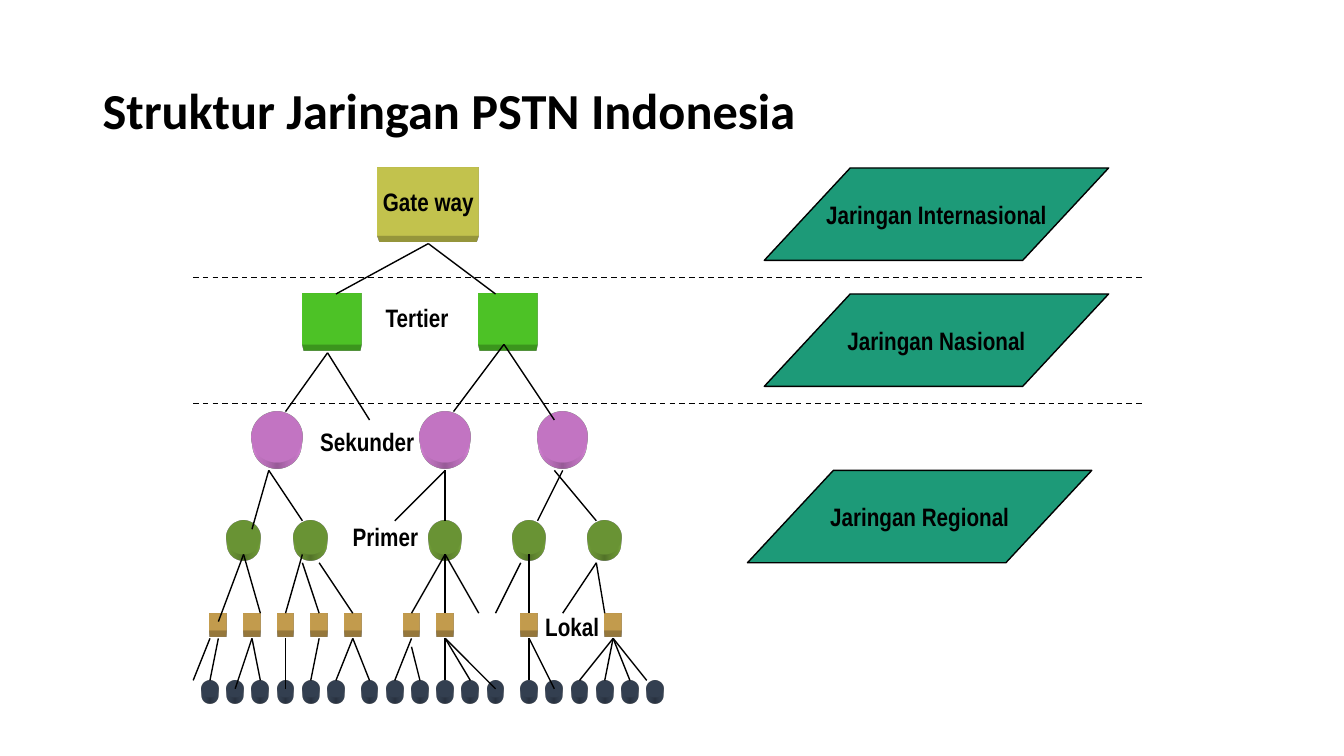
from dataclasses import dataclass

from lxml.etree import SubElement
from pptx import Presentation
from pptx.dml.color import RGBColor
from pptx.enum.dml import MSO_LINE
from pptx.enum.shapes import MSO_CONNECTOR, MSO_SHAPE
from pptx.enum.text import MSO_ANCHOR, MSO_AUTO_SIZE, PP_ALIGN
from pptx.oxml.ns import qn
from pptx.util import Cm, Pt

BLACK = "000000"
GREEN = "1D9A78"
LABEL_FONT = "Arial Narrow"


@dataclass
class Level:
    kind: MSO_SHAPE
    color: str
    top: int
    width: int
    height: int
    lefts: list[int]
    text: str = ""


@dataclass
class Branch:
    start: tuple[int, int]
    ends: list[tuple[int, int]]


@dataclass
class Network:
    text: str
    left: int
    top: int


@dataclass
class Label:
    text: str
    left: float
    top: float
    width: float


LEVELS = [
    Level(MSO_SHAPE.RECTANGLE, "FFFF66", 20, 12, 8, [45], "Gate way"),
    Level(MSO_SHAPE.RECTANGLE, "66FF33", 35, 7, 6, [36, 57]),
    Level(MSO_SHAPE.OVAL, "FF99FF", 49, 6, 6, [30, 50, 64]),
    Level(MSO_SHAPE.OVAL, "8BC145", 62, 4, 4, [27, 35, 51, 61, 70]),
    Level(MSO_SHAPE.RECTANGLE, "FFCC66", 73, 2, 2, [25, 29, 33, 37, 41, 48, 52, 62, 72]),
    Level(MSO_SHAPE.OVAL, "44546A", 81, 2, 2,
          [*range(24, 40, 3), *range(43, 59, 3), *range(62, 78, 3)]),
]

BRANCHES = [
    Branch((51, 29), [(59, 35), (40, 35)]),
    Branch((60, 41), [(54, 49), (66, 50)]),
    Branch((39, 42), [(34, 49), (44, 50)]),
    Branch((32, 56), [(30, 63), (36, 62)]),
    Branch((53, 56), [(53, 62), (47, 62)]),
    Branch((67, 56), [(64, 62)]),
    Branch((66, 56), [(71, 62)]),
    Branch((29, 66), [(26, 74), (31, 73)]),
    Branch((36, 66), [(34, 73)]),
    Branch((36, 67), [(38, 73)]),
    Branch((38, 67), [(42, 73)]),
    Branch((53, 66), [(49, 73), (53, 73), (57, 73)]),
    Branch((63, 66), [(63, 73)]),
    Branch((71, 67), [(72, 73), (67, 73)]),
    Branch((62, 67), [(59, 73)]),
    Branch((26, 76), [(25, 81)]),
    Branch((30, 76), [(28, 82), (31, 81)]),
    Branch((34, 76), [(34, 82)]),
    Branch((38, 76), [(37, 81)]),
    Branch((42, 76), [(40, 81), (44, 81)]),
    Branch((49, 76), [(47, 81)]),
    Branch((49, 77), [(50, 81)]),
    Branch((53, 76), [(59, 82), (53, 81), (56, 81)]),
    Branch((63, 76), [(63, 81), (66, 82)]),
    Branch((73, 76), [(69, 81), (72, 81), (75, 81), (77, 81)]),
    Branch((25, 76), [(23, 81)]),
]

NETWORKS = [
    Network("Jaringan Internasional", 91, 20),
    Network("Jaringan Nasional", 91, 35),
    Network("Jaringan Regional", 89, 56),
]

LABELS = [
    Label("Tertier", 9.47, 7.49, 2.13),
    Label("Sekunder", 7.82, 10.62, 2.9),
    Label("Primer", 8.64, 13, 2.16),
    Label("Lokal", 13.49, 15.29, 1.88),
]


def grid(steps: int) -> Cm:
    return Cm(steps * 2.54 / 12)


def rgb(color: str) -> RGBColor:
    return RGBColor.from_string(color)


def write(text_frame, text: str, font: str = LABEL_FONT, size: int = 18) -> None:
    text_frame.text = text
    run_font = text_frame.paragraphs[0].runs[0].font
    run_font.name = font
    run_font.size = Pt(size)
    run_font.bold = True
    run_font.color.rgb = rgb(BLACK)


def extrude(shape, color: str) -> None:
    properties = shape._element.spPr
    scene = SubElement(properties, qn("a:scene3d"))
    SubElement(scene, qn("a:camera"), prst="legacyPerspectiveBottom")
    SubElement(scene, qn("a:lightRig"), rig="legacyFlat3", dir="t")
    solid = SubElement(properties, qn("a:sp3d"), extrusionH="430200", prstMaterial="legacyMatte")
    extrusion = SubElement(solid, qn("a:extrusionClr"))
    SubElement(extrusion, qn("a:srgbClr"), val=color)


def add_block(slide, kind: MSO_SHAPE, color: str, left: int, top: int,
              width: int, height: int, text: str = ""):
    shape = slide.shapes.add_shape(kind, grid(left), grid(top), grid(width), grid(height))
    shape.shadow.inherit = False
    shape.fill.solid()
    shape.fill.fore_color.rgb = rgb(color)
    shape.line.fill.background()
    if text:
        write(shape.text_frame, text)
        shape.text_frame.word_wrap = False
        shape.text_frame.vertical_anchor = MSO_ANCHOR.MIDDLE
        shape.text_frame.paragraphs[0].alignment = PP_ALIGN.CENTER
    return shape


def add_line(slide, start: tuple[int, int], end: tuple[int, int], dashed: bool = False) -> None:
    line = slide.shapes.add_connector(MSO_CONNECTOR.STRAIGHT, *map(grid, start + end))
    line.line.color.rgb = rgb(BLACK)
    line.line.width = Pt(1)
    if dashed:
        line.line.dash_style = MSO_LINE.DASH
    SubElement(line._element.spPr, qn("a:effectLst"))


def add_network(slide, network: Network) -> None:
    shape = add_block(slide, MSO_SHAPE.PARALLELOGRAM, GREEN,
                      network.left, network.top, 41, 11, network.text)
    shape.adjustments[0] = 0.93
    shape.line.color.rgb = rgb(BLACK)
    shape.line.width = Pt(1)


def add_label(slide, label: Label) -> None:
    box = slide.shapes.add_textbox(Cm(label.left), Cm(label.top), Cm(label.width), Cm(1.02))
    write(box.text_frame, label.text)
    box.text_frame.word_wrap = False
    box.text_frame.auto_size = MSO_AUTO_SIZE.SHAPE_TO_FIT_TEXT


def add_title(slide, text: str) -> None:
    title = slide.shapes.title
    title.left, title.top, title.width, title.height = Cm(2.33), Cm(1.01), Cm(29.21), Cm(3.68)
    write(title.text_frame, text, "Calibri", 36)
    title.text_frame.vertical_anchor = MSO_ANCHOR.MIDDLE
    paragraph = title.text_frame.paragraphs[0]
    paragraph.alignment = PP_ALIGN.LEFT
    paragraph.line_spacing = 0.9


def main() -> None:
    presentation = Presentation()
    presentation.slide_width, presentation.slide_height = Cm(33.87), Cm(19.05)
    slide = presentation.slides.add_slide(presentation.slide_layouts[5])
    add_title(slide, "Struktur Jaringan PSTN Indonesia")
    for level in LEVELS:
        for left in level.lefts:
            block = add_block(slide, level.kind, level.color, left, level.top,
                              level.width, level.height, level.text)
            extrude(block, level.color)
    for branch in BRANCHES:
        for end in branch.ends:
            add_line(slide, branch.start, end)
    for network in NETWORKS:
        add_network(slide, network)
    for label in LABELS:
        add_label(slide, label)
    for height in (33, 48):
        add_line(slide, (23, height), (136, height), dashed=True)
    presentation.save("out.pptx")


if __name__ == "__main__":
    main()
